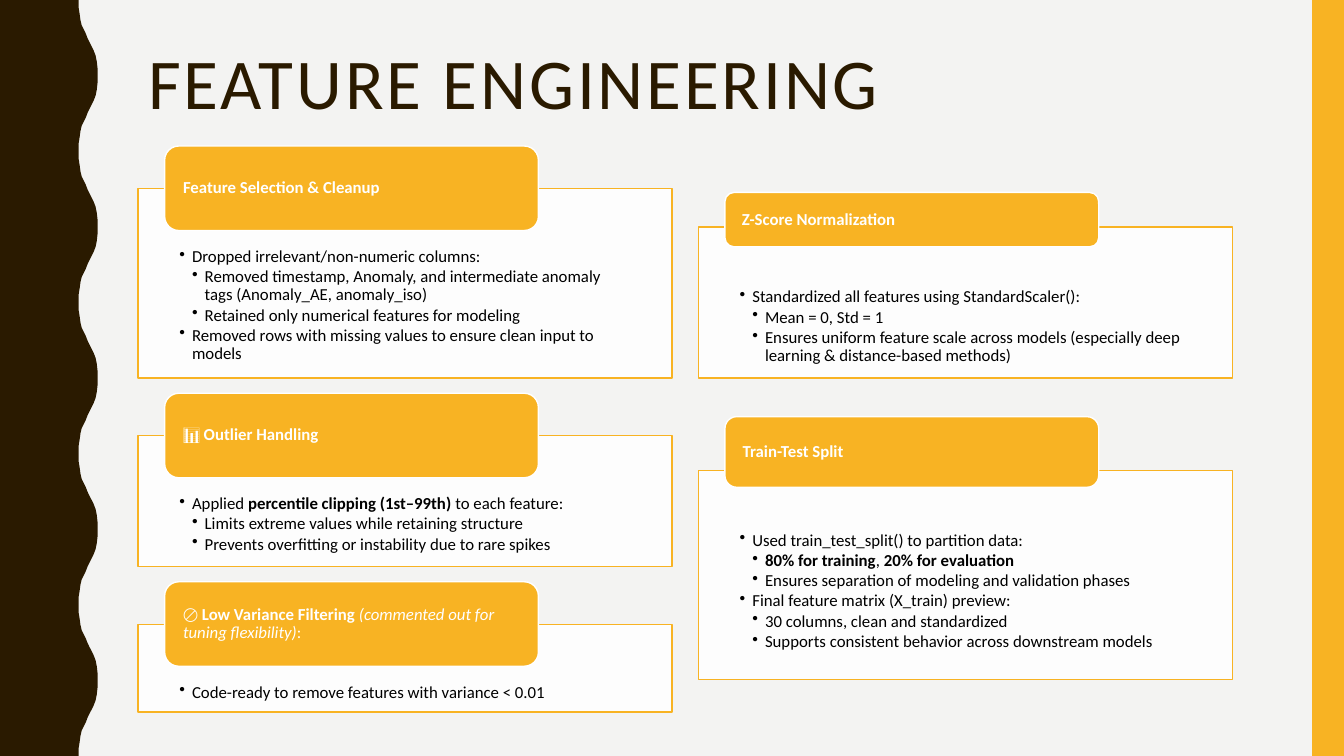
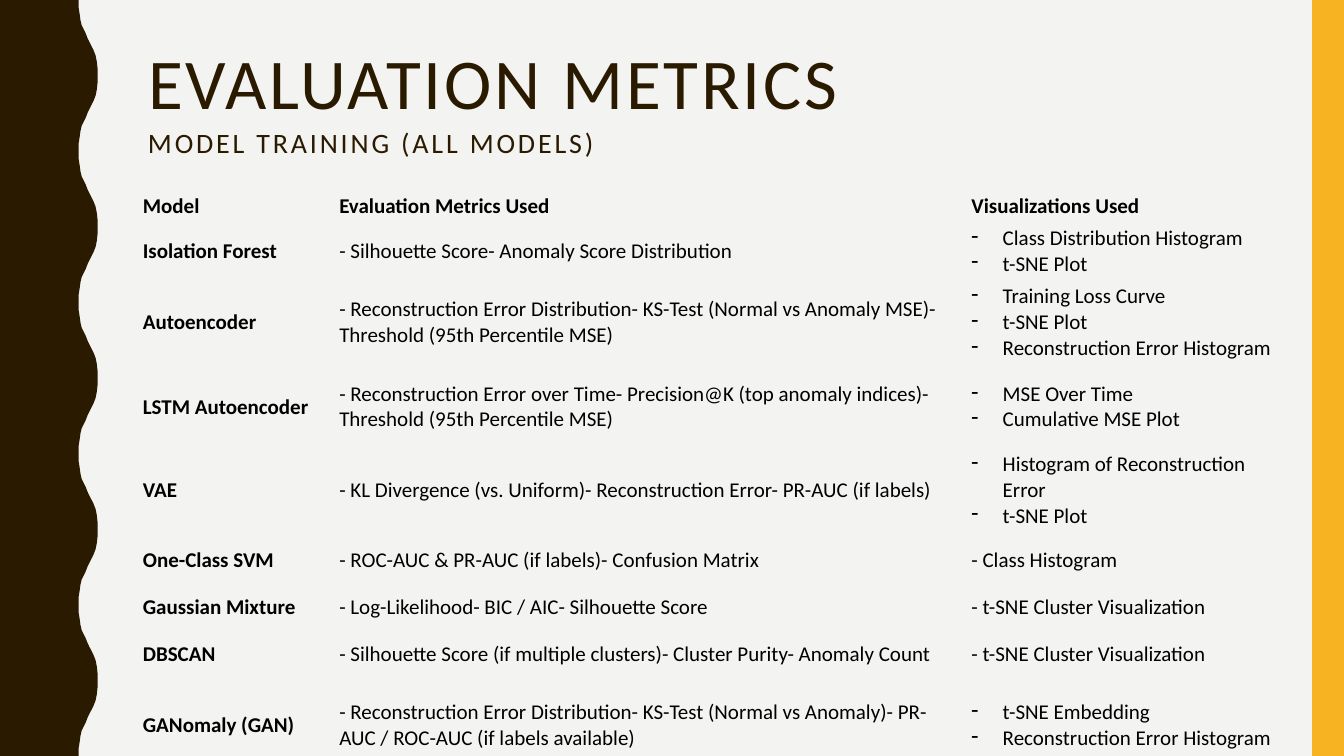
from dataclasses import dataclass

from lxml import etree
from pptx import Presentation
from pptx.dml.color import RGBColor
from pptx.enum.shapes import MSO_SHAPE
from pptx.enum.text import MSO_ANCHOR, MSO_AUTO_SIZE, PP_ALIGN
from pptx.oxml.ns import qn
from pptx.util import Cm, Pt

RECTANGLE, ROUNDED = MSO_SHAPE.RECTANGLE, MSO_SHAPE.ROUNDED_RECTANGLE
TOP, MIDDLE = MSO_ANCHOR.TOP, MSO_ANCHOR.MIDDLE
LEFT = PP_ALIGN.LEFT
NO_AUTOFIT = MSO_AUTO_SIZE.NONE
TITLE_ONLY = 5
NO_STYLE_NO_GRID = "{2D5ABB26-0587-4C30-8999-92F81FD0307C}"


@dataclass(frozen=True)
class Theme:
    font: str = "Calibri"
    background: RGBColor = RGBColor(0xF3, 0xF3, 0xF2)
    brown: RGBColor = RGBColor(0x2A, 0x1A, 0x00)
    amber: RGBColor = RGBColor(0xF8, 0xB3, 0x23)
    white: RGBColor = RGBColor(0xFF, 0xFF, 0xFF)
    black: RGBColor = RGBColor(0x00, 0x00, 0x00)
    title_size: float = 51
    subtitle_size: float = 20
    card_size: float = 12
    table_size: float = 15


theme = Theme()


def write_text(text_frame, paragraphs, size, color, bold=False, line_spacing=0.9,
               space_after=0, tracking=0, bullet=None, indent=0,
               anchor=TOP, margins=(0.25, 0.13, 0.25, 0.13)):
    """Fill a frame; a paragraph is a string or (level, run, ...), a run a string or (text, "b" or "i")."""
    text_frame.word_wrap = True
    text_frame.auto_size = NO_AUTOFIT
    text_frame.vertical_anchor = anchor
    (text_frame.margin_left, text_frame.margin_top,
     text_frame.margin_right, text_frame.margin_bottom) = map(Cm, margins)
    for index, content in enumerate(paragraphs):
        paragraph = text_frame.add_paragraph() if index else text_frame.paragraphs[0]
        level, *runs = (1, content) if isinstance(content, str) else content
        paragraph.alignment = LEFT
        paragraph.line_spacing = line_spacing
        paragraph.space_after = Pt(space_after)
        if bullet:
            properties = paragraph._p.get_or_add_pPr()
            properties.set("marL", str(Cm(indent * level)))
            properties.set("indent", str(-Cm(indent)))
            etree.SubElement(properties, qn("a:buChar")).set("char", bullet)
        for item in runs:
            text, style = (item, "b" if bold else "") if isinstance(item, str) else item
            run = paragraph.add_run()
            run.text = text
            run.font.name = theme.font
            run.font.size = Pt(size)
            run.font.color.rgb = color
            run.font.bold = style == "b"
            run.font.italic = style == "i"
            if tracking:
                run._r.get_or_add_rPr().set("spc", str(tracking * 100))


def paint(shape, fill, line=None, opacity=None):
    """Give a shape a flat fill and an optional 1 pt outline."""
    shape.shadow.inherit = False
    shape.fill.solid()
    shape.fill.fore_color.rgb = fill
    if opacity:
        color = shape.element.spPr.find(".//" + qn("a:srgbClr"))
        etree.SubElement(color, qn("a:alpha")).set("val", str(opacity * 1000))
    if line is None:
        shape.line.fill.background()
    else:
        shape.line.color.rgb = line
        shape.line.width = Pt(1)


presentation = Presentation()
presentation.slide_width, presentation.slide_height = Cm(33.87), Cm(19.05)
master = presentation.slide_master
layout = presentation.slide_layouts[TITLE_ONLY]

# Shared background and title position
master.background.fill.solid()
master.background.fill.fore_color.rgb = theme.background
layout_title = layout.placeholders[0]
layout_title.left, layout_title.top = Cm(3.48), Cm(1.07)
layout_title.width, layout_title.height = Cm(28.27), Cm(4.14)

# Slides with their titles
slides = []
for heading in ("FEATURE ENGINEERING", "EVALUATION METRICS"):
    slide = presentation.slides.add_slide(layout)
    write_text(slide.shapes.title.text_frame, [heading], theme.title_size, theme.brown, tracking=2)
    slides.append(slide)
feature_slide, metrics_slide = slides

# Wavy left band: one rising half wave, mirrored, five times down the slide
period = 3.81
rise = [(1.98, 0), (1.98, 0.18), (2.01, 0.36), (2.03, 0.51), (2.06, 0.64),
        (2.11, 0.74), (2.16, 0.84), (2.21, 0.97), (2.26, 1.07), (2.31, 1.17),
        (2.36, 1.27), (2.41, 1.4), (2.44, 1.55), (2.46, 1.73), (2.46, 1.9)]
wave = rise + [(x, period - y) for x, y in reversed(rise)]
edge = [(Cm(x), Cm(y + period * turn)) for turn in range(5) for x, y in wave]
builder = feature_slide.shapes.build_freeform(0, 0)
builder.add_line_segments(edge + [(0, Cm(19.05))], close=True)
wavy_band = builder.convert_to_shape()
paint(wavy_band, theme.brown)

# Right band; both bands then move to the master
right_band = feature_slide.shapes.add_shape(RECTANGLE, Cm(33.07), 0, Cm(0.8), Cm(19.05))
paint(right_band, theme.amber)
for position, band in enumerate((wavy_band, right_band)):
    band.element.nvSpPr.cNvPr.set("id", str(20 + position))
    master.shapes.element.insert(2 + position, band.element)

# Feature cards: (left, first tab top, gap, text inset, cards)
# card: (tab height, tab rise above the box, box height, heading, body)
columns = [
    (3.48, 3.68, 0.38, 1.5, [
        (2.13, 1.07, 4.78, "Feature Selection & Cleanup", [
            (1, "Dropped irrelevant/non-numeric columns:"),
            (2, "Removed timestamp, Anomaly, and intermediate anomaly tags (Anomaly_AE, anomaly_iso)"),
            (2, "Retained only numerical features for modeling"),
            (1, "Removed rows with missing values to ensure clean input to models")]),
        (2.13, 1.07, 3.3, "📊 Outlier Handling", [
            (1, "Applied ", ("percentile clipping (1st–99th)", "b"), " to each feature:"),
            (2, "Limits extreme values while retaining structure"),
            (2, "Prevents overfitting or instability due to rare spikes")]),
        (2.13, 1.07, 2.21,
         (1, "🚫 Low Variance Filtering ", ("(commented out for tuning flexibility)", "i"), (":", "")), [
             (1, "Code-ready to remove features with variance < 0.01")]),
    ]),
    (17.6, 4.85, 0.97, 1.55, [
        (1.37, 0.87, 3.81, "Z-Score Normalization", [
            (1, "Standardized all features using StandardScaler():"),
            (2, "Mean = 0, Std = 1"),
            (2, "Ensures uniform feature scale across models (especially deep learning & distance-based methods)")]),
        (1.78, 1.35, 5.28, "Train-Test Split", [
            (1, "Used train_test_split() to partition data:"),
            (2, ("80% for training", "b"), ", ", ("20% for evaluation", "b")),
            (2, "Ensures separation of modeling and validation phases"),
            (1, "Final feature matrix (X_train) preview:"),
            (2, "30 columns, clean and standardized"),
            (2, "Supports consistent behavior across downstream models")]),
    ]),
]
for left, top, gap, inset, cards in columns:
    for tab_height, tab_rise, box_height, heading, body in cards:
        box = feature_slide.shapes.add_shape(
            RECTANGLE, Cm(left), Cm(top + tab_rise), Cm(13.46), Cm(box_height))
        paint(box, theme.white, theme.amber, opacity=90)
        write_text(box.text_frame, body, theme.card_size, theme.black, space_after=1.5,
                   bullet="•", indent=0.32, margins=(1.04, inset, 1.04, 0.23))
        tab = feature_slide.shapes.add_shape(
            ROUNDED, Cm(left + 0.67), Cm(top), Cm(9.42), Cm(tab_height))
        paint(tab, theme.amber, theme.white)
        write_text(tab.text_frame, [heading], theme.card_size, theme.white, bold=True,
                   anchor=MIDDLE, margins=(0.36, 0, 0.36, 0))
        top += tab_rise + box_height + gap

# Metrics table: (row height, model, metrics, visualizations); a list is bulleted
rows = [
    (0.79, "Model", "Evaluation Metrics Used", "Visualizations Used"),
    (1.47, "Isolation Forest", "- Silhouette Score- Anomaly Score Distribution",
     ["Class Distribution Histogram", "t-SNE Plot"]),
    (2.13, "Autoencoder",
     "- Reconstruction Error Distribution- KS-Test (Normal vs Anomaly MSE)- Threshold (95th Percentile MSE)",
     ["Training Loss Curve", "t-SNE Plot", "Reconstruction Error Histogram"]),
    (2.13, "LSTM Autoencoder",
     "- Reconstruction Error over Time- Precision@K (top anomaly indices)- Threshold (95th Percentile MSE)",
     ["MSE Over Time", "Cumulative MSE Plot"]),
    (1.47, "VAE", "- KL Divergence (vs. Uniform)- Reconstruction Error- PR-AUC (if labels)",
     ["Histogram of Reconstruction Error", "t-SNE Plot"]),
    (1.47, "One-Class SVM", "- ROC-AUC & PR-AUC (if labels)- Confusion Matrix", "- Class Histogram"),
    (0.89, "Gaussian Mixture", "- Log-Likelihood- BIC / AIC- Silhouette Score",
     "- t-SNE Cluster Visualization"),
    (1.47, "DBSCAN", "- Silhouette Score (if multiple clusters)- Cluster Purity- Anomaly Count",
     "- t-SNE Cluster Visualization"),
    (2.13, "GANomaly (GAN)",
     "- Reconstruction Error Distribution- KS-Test (Normal vs Anomaly)- PR-AUC / ROC-AUC (if labels available)",
     ["t-SNE Embedding", "Reconstruction Error Histogram"]),
]
column_widths = (4.95, 15.93, 8.28)
table_frame = metrics_slide.shapes.add_table(
    len(rows), len(column_widths), Cm(3.48), Cm(4.8),
    Cm(sum(column_widths)), Cm(sum(row[0] for row in rows)))
table_frame.element.find(".//" + qn("a:tableStyleId")).text = NO_STYLE_NO_GRID
table = table_frame.table
table.first_row = table.horz_banding = False
for column, width in zip(table.columns, column_widths):
    column.width = Cm(width)
for row_index, (height, *contents) in enumerate(rows):
    table.rows[row_index].height = Cm(height)
    for column_index, content in enumerate(contents):
        cell = table.cell(row_index, column_index)
        cell.fill.background()
        bulleted = isinstance(content, list)
        write_text(cell.text_frame, content if bulleted else [content],
                   theme.table_size, theme.black, bold=row_index == 0 or column_index == 0,
                   line_spacing=1.0, bullet="-" if bulleted else None, indent=0.79)
        cell.vertical_anchor = MIDDLE
        cell.margin_left = cell.margin_right = Cm(0.12)
        cell.margin_top = cell.margin_bottom = Cm(0.06)

# Subtitle under the title
subtitle = metrics_slide.shapes.add_textbox(Cm(3.48), Cm(3.12), Cm(28.27), Cm(4.14))
write_text(subtitle.text_frame, ["MODEL TRAINING (ALL MODELS)"],
           theme.subtitle_size, theme.brown, tracking=2)

presentation.save("out.pptx")
